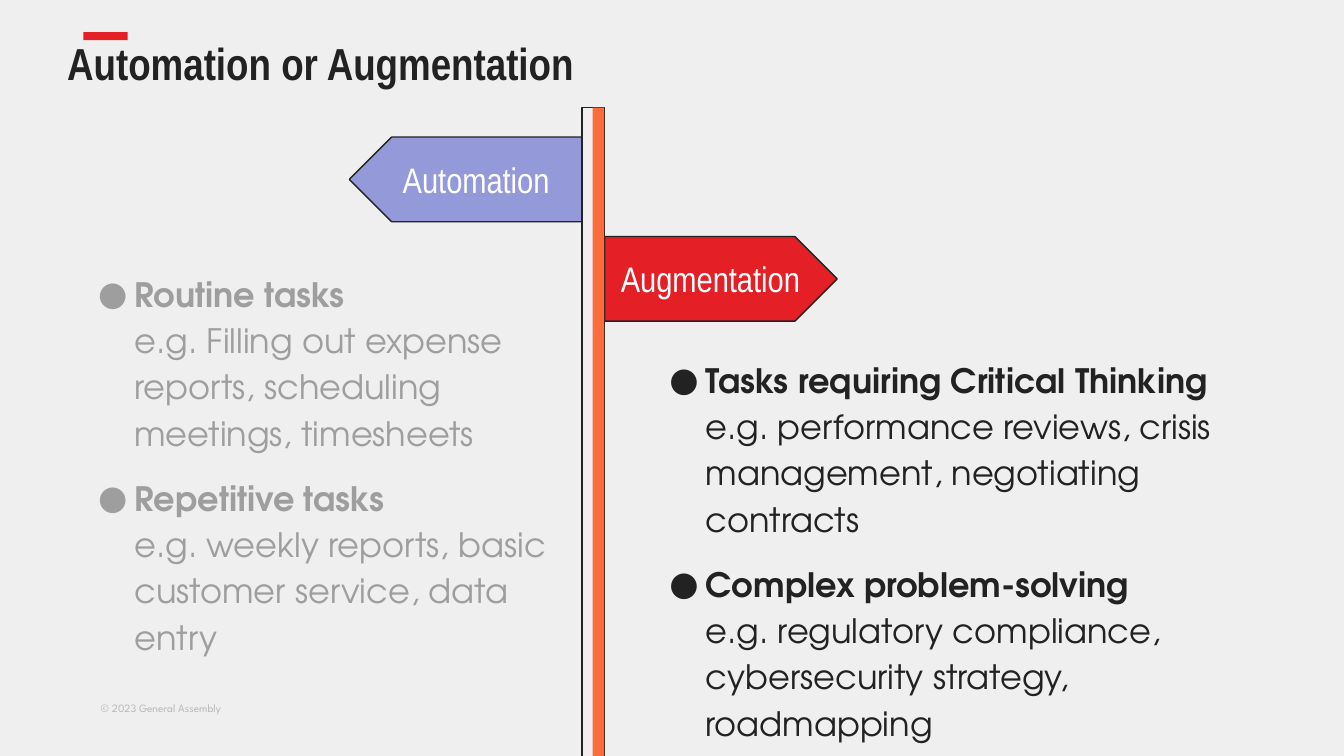
from lxml.etree import SubElement
from pptx import Presentation
from pptx.dml.color import RGBColor
from pptx.enum.shapes import MSO_SHAPE
from pptx.enum.text import MSO_ANCHOR, MSO_AUTO_SIZE, PP_ALIGN
from pptx.oxml.ns import qn
from pptx.util import Inches, Pt

# Content
TITLE = "Automation or Augmentation"
COPYRIGHT = "© 2023 General Assembly"
AUTOMATION_TASKS = [
    ("Routine tasks",
     "e.g. Filling out expense reports, scheduling meetings, timesheets"),
    ("Repetitive tasks",
     "e.g. weekly reports, basic customer service, data entry"),
]
AUGMENTATION_TASKS = [
    ("Tasks requiring Critical Thinking",
     "e.g. performance reviews, crisis management, negotiating contracts"),
    ("Complex problem-solving",
     "e.g. regulatory compliance, cybersecurity strategy, roadmapping"),
]

# Style
INK, GREY, RED, PAPER = "222222", "9E9E9E", "E41F26", "EFEFEF"
BODY_FONT, HEAD_FONT, BULLET_FONT = "TeX Gyre Adventor", "Arial Narrow", "Roboto"

# Measures, in inches; the slide is 16:9
SLIDE_WIDTH = 10
SLIDE_HEIGHT = SLIDE_WIDTH * 9 / 16
POST_LEFT, POST_TOP, POST_WIDTH, POST_HEIGHT = 4.33, 0.8, 0.17, 4.99
SHADE_LEFT = 4.41
SIGN_WIDTH, SIGN_HEIGHT = 1.73, 0.63
SIGNS = [  # label, left, top, fill, points left
    ("Automation", POST_LEFT - SIGN_WIDTH, 1.02, "9499D9", True),
    ("Augmentation", POST_LEFT + POST_WIDTH, 1.76, RED, False),
]
LISTS = [  # tasks, box, colour
    (AUTOMATION_TASKS, (0.5, 1.89, 3.81, 2.64), GREY),
    (AUGMENTATION_TASKS, (4.75, 2.53, 4.75, 2.64), INK),
]


def color(value):
    return RGBColor.from_string(value)


def style_font(font, name, size, value, bold=False):
    for key, setting in {"name": name, "size": Pt(size), "bold": bold}.items():
        setattr(font, key, setting)
    font.color.rgb = color(value)


def place(shape, box):
    for key, length in zip(("left", "top", "width", "height"), box):
        setattr(shape, key, Inches(length))


def format_frame(frame, margin, anchor=MSO_ANCHOR.TOP):
    settings = {"word_wrap": True, "auto_size": MSO_AUTO_SIZE.NONE,
                "vertical_anchor": anchor}
    for side in ("left", "top", "right", "bottom"):
        settings[f"margin_{side}"] = Inches(margin)
    for key, setting in settings.items():
        setattr(frame, key, setting)


def add_block(slide, kind, box, fill, line=None):
    shape = slide.shapes.add_shape(kind, *map(Inches, box))
    shape.shadow.inherit = False
    shape.fill.solid()
    shape.fill.fore_color.rgb = color(fill)
    if line:
        shape.line.color.rgb = color(line)
        shape.line.width = Pt(0.75)
    else:
        shape.line.fill.background()
    return shape


def add_bullet(paragraph, value):
    properties = paragraph._p.get_or_add_pPr()
    properties.set("marL", str(Inches(0.4)))
    properties.set("indent", str(Inches(-0.27)))
    bullet_color = SubElement(properties, qn("a:buClr"))
    SubElement(bullet_color, qn("a:srgbClr"), val=value)
    SubElement(properties, qn("a:buFont"), typeface=BULLET_FONT)
    SubElement(properties, qn("a:buChar"), char="●")


def fill_list(placeholder, tasks, box, value):
    place(placeholder, box)
    frame = placeholder.text_frame
    format_frame(frame, 0.1)
    for index, (heading, example) in enumerate(tasks):
        paragraph = frame.add_paragraph() if index else frame.paragraphs[0]
        add_bullet(paragraph, value)
        paragraph.line_spacing = 1.15
        paragraph.space_before = Pt(10 if index else 0)
        paragraph.space_after = Pt(10 if index else 0)
        style_font(paragraph.font, BODY_FONT, 18, value)
        for text, bold in ((heading, True), (example, False)):
            run = paragraph.add_run()
            run.text = text
            style_font(run.font, BODY_FONT, 18, value, bold)
            if bold:
                paragraph.add_line_break()
                # The break keeps the size of the text around it
                SubElement(paragraph._p.findall(qn("a:br"))[-1],
                           qn("a:rPr"), sz="1800")


presentation = Presentation()
presentation.slide_width = Inches(SLIDE_WIDTH)
presentation.slide_height = Inches(SLIDE_HEIGHT)
slide = presentation.slides.add_slide(presentation.slide_layouts[3])
slide.background.fill.solid()
slide.background.fill.fore_color.rgb = color(PAPER)

# Title with its accent bar
title = slide.shapes.title
place(title, (0.5, 0.31, 9.32, 0.63))
title.text_frame.text = TITLE
format_frame(title.text_frame, 0)
heading = title.text_frame.paragraphs[0]
heading.alignment, heading.line_spacing = PP_ALIGN.LEFT, 0.9
style_font(heading.runs[0].font, HEAD_FONT, 24, INK, True)
add_block(slide, MSO_SHAPE.RECTANGLE, (0.62, 0.24, 0.33, 0.06), RED)

# Signs
for label, left, top, fill, points_left in SIGNS:
    sign = add_block(slide, MSO_SHAPE.PENTAGON,
                     (left, top, SIGN_WIDTH, SIGN_HEIGHT), fill, INK)
    if points_left:
        sign._element.spPr.xfrm.set("flipH", "1")
    format_frame(sign.text_frame, 0.1, MSO_ANCHOR.MIDDLE)
    sign.text_frame.text = label
    paragraph = sign.text_frame.paragraphs[0]
    paragraph.alignment = PP_ALIGN.CENTER
    style_font(paragraph.runs[0].font, HEAD_FONT, 19, "FFFFFF")

# Post with its shaded half
add_block(slide, MSO_SHAPE.RECTANGLE,
          (POST_LEFT, POST_TOP, POST_WIDTH, POST_HEIGHT), PAPER, INK)
add_block(slide, MSO_SHAPE.RECTANGLE,
          (SHADE_LEFT, POST_TOP, POST_WIDTH / 2, POST_HEIGHT), "FE6C3B")

# Task lists
for position, (tasks, box, value) in enumerate(LISTS, start=1):
    fill_list(slide.placeholders[position], tasks, box, value)

# Copyright line
footer = slide.shapes.add_textbox(*map(Inches, (0.75, 5.17, 1, 0.2)))
format_frame(footer.text_frame, 0, MSO_ANCHOR.MIDDLE)
footer.text_frame.text = COPYRIGHT
style_font(footer.text_frame.paragraphs[0].runs[0].font,
           "League Spartan", 6, "B7B7B7")

presentation.save("out.pptx")
